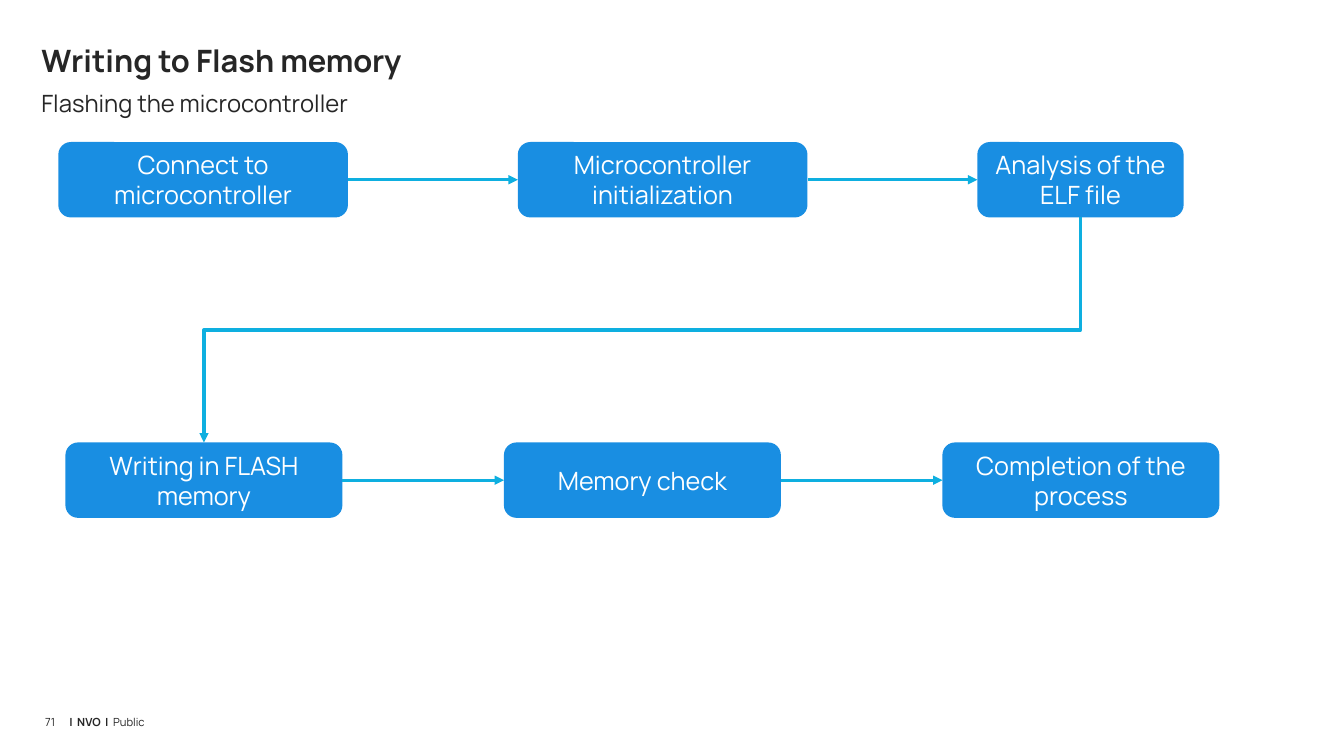
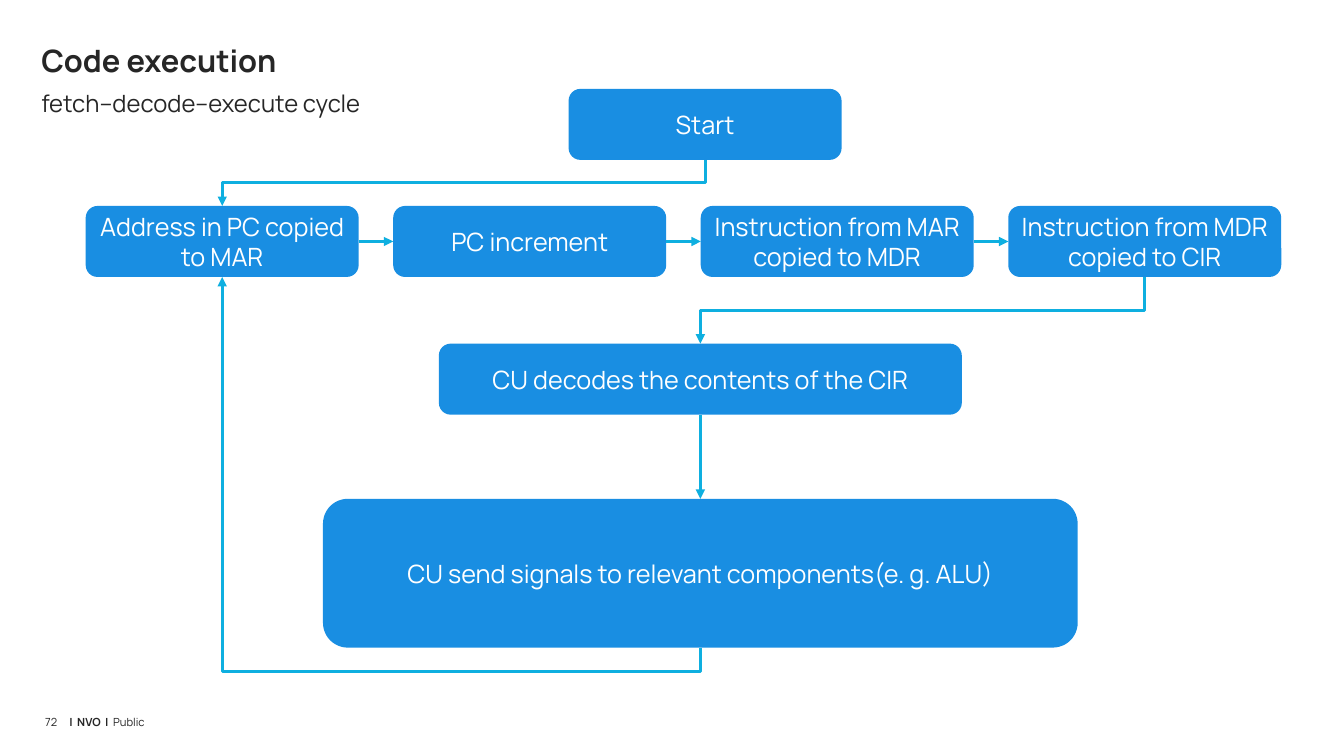
from lxml import etree
from pptx import Presentation
from pptx.dml.color import RGBColor
from pptx.enum.shapes import MSO_CONNECTOR, MSO_SHAPE
from pptx.enum.text import MSO_ANCHOR, MSO_AUTO_SIZE, PP_ALIGN
from pptx.oxml.ns import qn
from pptx.util import Cm, Pt

ROUND = MSO_SHAPE.ROUNDED_RECTANGLE
STRAIGHT, ELBOW = MSO_CONNECTOR.STRAIGHT, MSO_CONNECTOR.ELBOW
TOP, MIDDLE = MSO_ANCHOR.TOP, MSO_ANCHOR.MIDDLE
LEFT, CENTER = PP_ALIGN.LEFT, PP_ALIGN.CENTER
NO_FIT = MSO_AUTO_SIZE.NONE

FACE = "Manrope"
INK, BLUE, CYAN, WHITE = "262626", "198EE2", "0EAFE0", "FFFFFF"

# Connection sites of a rounded box
NORTH, WEST, SOUTH, EAST = range(4)


def color(code):
    return RGBColor.from_string(code)


def style(font, size, code, bold=False):
    font.name, font.size, font.bold = FACE, Pt(size), bold
    font.color.rgb = color(code)


def frame(shape, pad_x=0, pad_y=0, anchor=TOP):
    """Set the margins and wrapping of a shape's text."""
    text = shape.text_frame
    text.word_wrap, text.auto_size = True, NO_FIT
    text.vertical_anchor = anchor
    text.margin_left = text.margin_right = Cm(pad_x)
    text.margin_top = text.margin_bottom = Cm(pad_y)
    return text


# Shared header and footer

def head(holder, text, top, height, size, bold=False):
    holder.left, holder.top = Cm(1.04), Cm(top)
    holder.width, holder.height = Cm(31.75), Cm(height)
    para = frame(holder).paragraphs[0]
    para.text = text
    props = para._p.get_or_add_pPr()
    props.set("marL", "0")
    props.set("indent", "0")
    etree.SubElement(props, qn("a:buNone"))
    para.alignment, para.space_before = LEFT, Pt(0)
    style(para.font, size, INK, bold)


def foot(slide, left, width, parts):
    box = slide.shapes.add_textbox(Cm(left), Cm(17.78), Cm(width), Cm(0.48))
    para = frame(box).paragraphs[0]
    para.line_spacing = Pt(16.8)
    for text, bold in parts:
        run = para.add_run()
        run.text = text
        style(run.font, 8, INK, bold)


def page(deck, number, title, lead):
    slide = deck.slides.add_slide(deck.slide_layouts[1])
    head(slide.shapes.title, title, 1.04, 1.12, 22, True)
    head(slide.placeholders[1], lead, 2.24, 1.24, 17)
    foot(slide, 1.75, 11.28, [("|  NVO  |  ", True), ("Public", False)])
    foot(slide, 1.14, 0.5, [(str(number), False)])
    return slide


# Flow chart parts

def step(slide, text, left, top, width, height):
    box = slide.shapes.add_shape(ROUND, Cm(left), Cm(top), Cm(width), Cm(height))
    box.shadow.inherit = False
    box.fill.solid()
    box.fill.fore_color.rgb = color(BLUE)
    box.line.fill.background()
    para = frame(box, 0.25, 0.18, MIDDLE).paragraphs[0]
    para.text, para.alignment = text, CENTER
    style(para.font, 18, WHITE)
    return box


def link(slide, kind, start, out, end, into):
    """Join two boxes with an arrow glued to their sites."""
    line = slide.shapes.add_connector(kind, 0, 0, 0, 0)
    line.begin_connect(start, out)
    line.end_connect(end, into)
    line.line.color.rgb, line.line.width = color(CYAN), Pt(2.25)
    tip = etree.SubElement(line.line._get_or_add_ln(), qn("a:tailEnd"))
    tip.set("type", "triangle")
    etree.SubElement(line._element.spPr, qn("a:effectLst"))
    return line


def bend(slide, start, end, into=NORTH, turn=0.5):
    """Leave downwards, turn at a share of the height, then enter the end box."""
    line = link(slide, ELBOW, start, SOUTH, end, into)
    run = line.end_x - line.begin_x
    drop = line.end_y - line.begin_y
    mid_x = (line.begin_x + line.end_x) // 2
    mid_y = (line.begin_y + line.end_y) // 2
    # A quarter turn swaps width and height about the middle
    line.width, line.height = abs(drop), abs(run)
    line.left, line.top = mid_x - abs(drop) // 2, mid_y - abs(run) // 2
    xfrm = line._element.spPr.find(qn("a:xfrm"))
    xfrm.set("rot", "5400000")
    xfrm.set("flipH", str(int(drop < 0)))
    xfrm.set("flipV", str(int(run > 0)))
    geom = line._element.spPr.find(qn("a:prstGeom"))
    guide = etree.SubElement(geom.find(qn("a:avLst")), qn("a:gd"))
    guide.set("name", "adj1")
    guide.set("fmla", f"val {round(turn * 100000)}")


def row(slide, left, top, height, gap, items):
    """Place boxes from left to right, each joined to the next."""
    boxes = []
    for text, width in items:
        boxes.append(step(slide, text, left, top, width, height))
        left += width + gap
    for start, end in zip(boxes, boxes[1:]):
        link(slide, STRAIGHT, start, EAST, end, WEST)
    return boxes


# Charts

def flash(slide, left, top):
    upper = row(slide, left, top, 1.9, 4.28, [
        ("Connect to microcontroller", 7.3),
        ("Microcontroller initialization", 7.3),
        ("Analysis of the ELF file", 5.2)])
    lower = row(slide, left + 0.18, top + 7.57, 1.9, 4.07, [
        ("Writing in FLASH memory", 6.98),
        ("Memory check", 6.98),
        ("Completion of the process", 6.98)])
    bend(slide, upper[-1], lower[0])


def cycle(slide, left, top):
    wide, high = 6.88, 1.79
    mid = left + 15.49
    start = step(slide, "Start", left + 12.17, top, wide, high)
    fetch = row(slide, left, top + 2.95, high, 0.87, [
        (text, wide) for text in (
            "Address in PC copied to MAR",
            "PC increment",
            "Instruction from MAR copied to MDR",
            "Instruction from MDR copied to CIR")])
    decode = step(slide, "CU decodes the contents of the CIR",
                  mid - 6.59, top + 6.42, 13.18, high)
    signal = step(slide, "CU send signals to relevant components(e. g. ALU)",
                  mid - 9.51, top + 10.33, 19.02, 3.75)
    bend(slide, start, fetch[0])
    bend(slide, fetch[-1], decode)
    link(slide, STRAIGHT, decode, SOUTH, signal, NORTH)
    bend(slide, signal, fetch[0], SOUTH, -0.064)


def main():
    deck = Presentation()
    deck.slide_width, deck.slide_height = Cm(33.87), Cm(19.05)
    flash(page(deck, 71, "Writing to Flash memory",
               "Flashing the microcontroller"), 1.47, 3.58)
    cycle(page(deck, 72, "Code execution",
               "fetch–decode–execute cycle"), 2.16, 2.24)
    deck.save("out.pptx")


if __name__ == "__main__":
    main()
